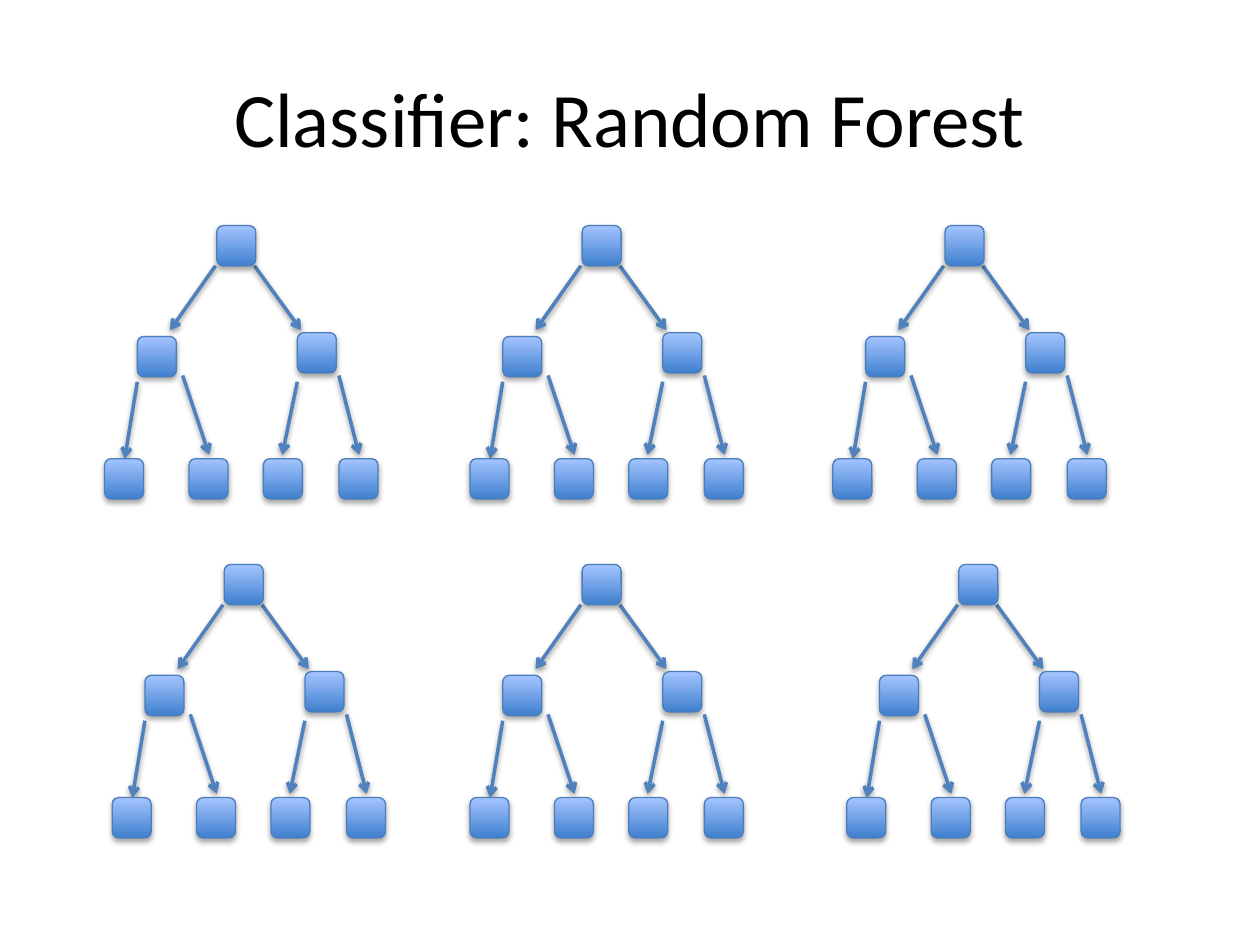
import lxml.etree
import pptx
import pptx.dml.color
import pptx.enum.shapes
import pptx.enum.text
import pptx.oxml.ns
import pptx.util

Inches = pptx.util.Inches
Pt = pptx.util.Pt


class Theme:
    font = "Calibri"
    title_size = Pt(44)
    title_color = pptx.dml.color.RGBColor.from_string("000000")
    node_gradient = [pptx.dml.color.RGBColor.from_string(c) for c in ("3F80CE", "A4C4FF")]
    node_outline = pptx.dml.color.RGBColor.from_string("4B7EBC")
    arrow_color = pptx.dml.color.RGBColor.from_string("4F81BD")
    shadow_color = "000000"
    shadow_blur = Pt(3.1)


# Offsets in inches from the top left corner of a tree
NODE_SIZE = (0.31, 0.32)
NODES = [
    (0.89, 0),  # root
    (0.26, 0.88), (1.53, 0.85),  # branches
    (0, 1.85), (0.67, 1.85), (1.26, 1.85), (1.86, 1.85),  # leaves
]
ARROWS = [
    ((0.88, 0.32), (0.52, 0.83)), ((1.19, 0.32), (1.56, 0.83)),
    ((0.26, 1.24), (0.16, 1.85)), ((0.62, 1.19), (0.83, 1.82)),
    ((1.53, 1.24), (1.41, 1.82)), ((1.86, 1.19), (2.02, 1.82)),
]
# Top left corner of each tree
TREES = [
    (0.83, 1.79), (3.73, 1.79), (6.61, 1.79),
    (0.89, 4.48), (3.73, 4.48), (6.72, 4.48),
]


def add_element(parent, tag, **attributes):
    element = lxml.etree.SubElement(parent, pptx.oxml.ns.qn(tag))
    for name, value in attributes.items():
        element.set(name, str(value))
    return element


def add_shadow(shape, distance, opacity):
    """Drop a soft shadow straight down; call after fill and line are set."""
    effects = add_element(shape._element.spPr, "a:effectLst")
    shadow = add_element(effects, "a:outerShdw", blurRad=Theme.shadow_blur,
                         dist=distance, dir=90 * 60000, rotWithShape=0)
    color = add_element(shadow, "a:srgbClr", val=Theme.shadow_color)
    add_element(color, "a:alpha", val=opacity * 1000)


def add_node(shapes, left, top):
    node = shapes.add_shape(pptx.enum.shapes.MSO_SHAPE.ROUNDED_RECTANGLE,
                            Inches(left), Inches(top), *map(Inches, NODE_SIZE))
    node.fill.gradient()
    node.fill.gradient_angle = 90
    for stop, color in zip(node.fill.gradient_stops, Theme.node_gradient):
        stop.color.rgb = color
    node.line.color.rgb = Theme.node_outline
    node.line.width = Pt(0.75)
    add_shadow(node, Pt(1.8), 35)


def add_arrow(shapes, start, end):
    arrow = shapes.add_connector(pptx.enum.shapes.MSO_CONNECTOR.STRAIGHT,
                                 *map(Inches, start + end))
    arrow.line.color.rgb = Theme.arrow_color
    arrow.line.width = Pt(2)
    add_element(arrow.get_or_add_ln(), "a:tailEnd", type="arrow")
    add_shadow(arrow, Pt(1.6), 38)


def add_tree(slide, left, top):
    """Place one grouped decision tree with its corner at left, top."""
    shapes = slide.shapes.add_group_shape().shapes
    for start, end in ARROWS:
        add_arrow(shapes, (left + start[0], top + start[1]), (left + end[0], top + end[1]))
    for x, y in NODES:
        add_node(shapes, left + x, top + y)


def add_title(slide, text, left, top, width, height):
    title = slide.shapes.title
    title.left, title.top = Inches(left), Inches(top)
    title.width, title.height = Inches(width), Inches(height)
    title.text_frame.text = text
    title.text_frame.vertical_anchor = pptx.enum.text.MSO_ANCHOR.MIDDLE
    paragraph = title.text_frame.paragraphs[0]
    paragraph.alignment = pptx.enum.text.PP_ALIGN.CENTER
    paragraph.font.name = Theme.font
    paragraph.font.size = Theme.title_size
    paragraph.font.color.rgb = Theme.title_color


def main():
    presentation = pptx.Presentation()
    presentation.slide_width, presentation.slide_height = Inches(10), Inches(7.5)
    slide = presentation.slides.add_slide(presentation.slide_layouts[5])  # title only
    add_title(slide, "Classifier: Random Forest", 0.5, 0.3, 9, 1.25)
    for left, top in TREES:
        add_tree(slide, left, top)
    presentation.save("out.pptx")


if __name__ == "__main__":
    main()
